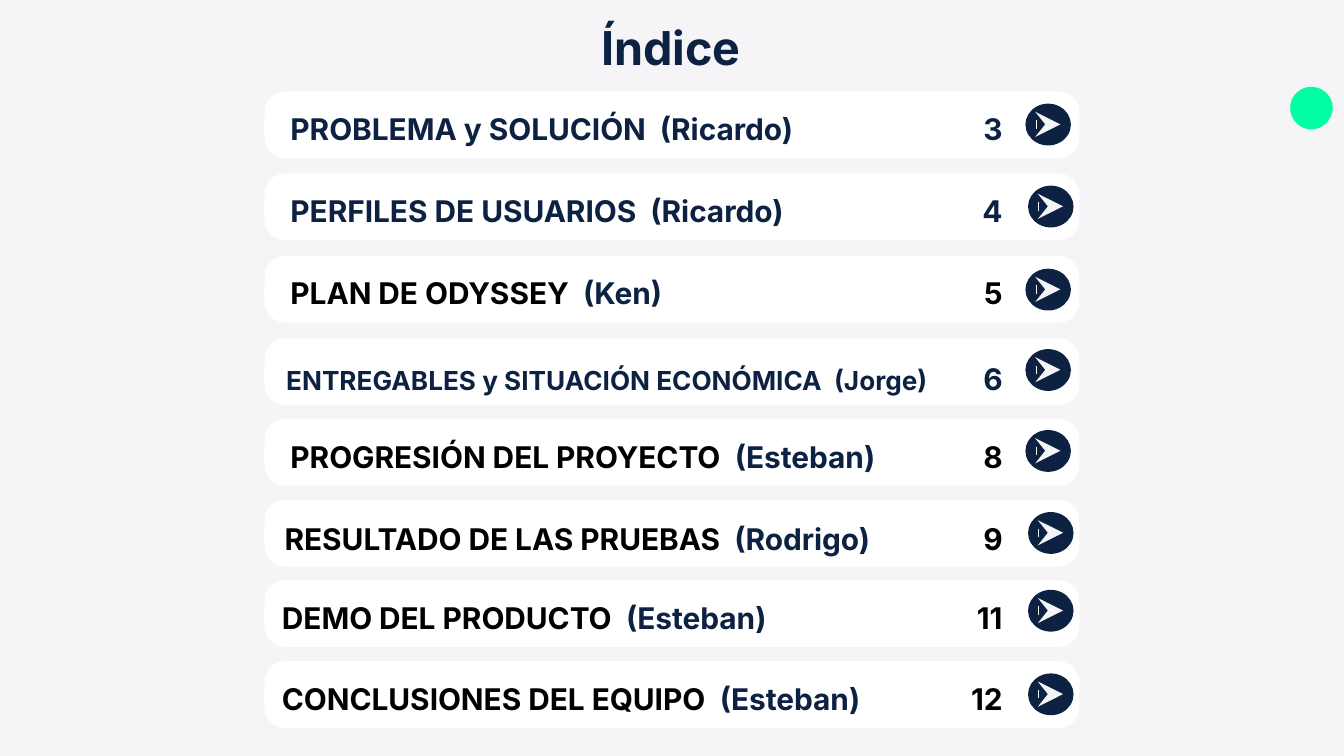
import dataclasses

import lxml.etree
import pptx
import pptx.dml.color
import pptx.enum.shapes
import pptx.enum.text
import pptx.oxml.ns
import pptx.util

Cm = pptx.util.Cm
Pt = pptx.util.Pt
qn = pptx.oxml.ns.qn

COLORS = {
    "back": "F5F5F7",
    "card": "FFFFFF",
    "navy": "0D2243",
    "black": "000000",
    "green": "00FFA3",
}
FRAME = {
    "margin_left": 0,
    "margin_top": 0,
    "margin_right": 0,
    "margin_bottom": 0,
    "word_wrap": True,
    "vertical_anchor": pptx.enum.text.MSO_ANCHOR.TOP,
    "auto_size": pptx.enum.text.MSO_AUTO_SIZE.SHAPE_TO_FIT_TEXT,
}
PAGE_EDGE = 18.95  # right edge of the page numbers
TEXT_END = 19.1


@dataclasses.dataclass
class Entry:
    """One index row; lengths in cm."""
    topic: str
    name: str
    page: str
    color: str
    top: float
    left: float
    text_top: float
    icon_left: float
    icon_top: float
    size: int = 16


ENTRIES = [
    Entry("PROBLEMA y SOLUCIÓN", "Ricardo", "3", "navy", 1.73, 5.49, 1.96, 19.38, 1.96),
    Entry("PERFILES DE USUARIOS", "Ricardo", "4", "navy", 3.28, 5.49, 3.51, 19.43, 3.51),
    Entry("PLAN DE ODYSSEY", "Ken", "5", "black", 4.84, 5.49, 5.05, 19.38, 5.08),
    Entry("ENTREGABLES y SITUACIÓN ECONÓMICA", "Jorge", "6", "navy",
          6.4, 5.41, 6.68, 19.38, 6.6, 14),
    Entry("PROGRESIÓN DEL PROYECTO", "Esteban", "8", "black", 7.92, 5.49, 8.15, 19.38, 8.13),
    Entry("RESULTADO DE LAS PRUEBAS", "Rodrigo", "9", "black", 9.45, 5.38, 9.7, 19.43, 9.68),
    Entry("DEMO DEL PRODUCTO", "Esteban", "11", "black", 10.97, 5.33, 11.2, 19.43, 11.15),
    Entry("CONCLUSIONES DEL EQUIPO", "Esteban", "12", "black", 12.5, 5.33, 12.73, 19.43, 12.73),
]


def rgb(name: str) -> pptx.dml.color.RGBColor:
    return pptx.dml.color.RGBColor.from_string(COLORS[name])


def assign(target, values: dict) -> None:
    for key, value in values.items():
        setattr(target, key, value)


def place(left: float, top: float, width: float, height: float) -> dict:
    return {"left": Cm(left), "top": Cm(top), "width": Cm(width), "height": Cm(height)}


def add_run(para, text: str, size: int, color: str,
            face: str = "Inter", bold: bool = True) -> None:
    run = para.add_run()
    run.text = text
    assign(run.font, {"name": face, "size": Pt(size), "bold": bold})
    run.font.color.rgb = rgb(color)


def setup(shape, spacing: float, align=pptx.enum.text.PP_ALIGN.LEFT):
    """Format the text frame and return its first paragraph."""
    assign(shape.text_frame, FRAME)
    para = shape.text_frame.paragraphs[0]
    assign(para, {"line_spacing": spacing, "alignment": align})
    return para


def add_solid(slide, kind, box: dict, color: str):
    shape = slide.shapes.add_shape(kind, **box)
    shape.shadow.inherit = False
    shape.fill.solid()
    shape.fill.fore_color.rgb = rgb(color)
    shape.line.fill.background()
    return shape


def add_icon(slide, left: float, top: float) -> None:
    """Draw a round button with an arrow to the right."""
    add_solid(slide, pptx.enum.shapes.MSO_SHAPE.OVAL,
              place(left, top, 0.86, 0.79), "navy")
    y = Cm(top + 0.39)
    arrow = slide.shapes.add_connector(
        pptx.enum.shapes.MSO_CONNECTOR.STRAIGHT,
        Cm(left + 0.19), y, Cm(left + 0.66), y)
    arrow.line.color.rgb = rgb("back")
    arrow.line.width = Pt(4.5)
    line = arrow.line._get_or_add_ln()
    lxml.etree.SubElement(line, qn("a:tailEnd"), type="stealth")
    lxml.etree.SubElement(arrow._element.spPr, qn("a:effectLst"))


def add_entry(slide, entry: Entry) -> None:
    card = add_solid(slide, pptx.enum.shapes.MSO_SHAPE.ROUNDED_RECTANGLE,
                     place(5, entry.top, 15.4, 1.26), "card")
    card.adjustments[0] = 0.31
    label = slide.shapes.add_textbox(
        **place(entry.left, entry.text_top, TEXT_END - entry.left, 0.69))
    para = setup(label, 1.2)
    tabs = lxml.etree.SubElement(para._p.get_or_add_pPr(), qn("a:tabLst"))
    lxml.etree.SubElement(tabs, qn("a:tab"), algn="r",
                          pos=str(Cm(PAGE_EDGE - entry.left)))
    add_run(para, f"{entry.topic}  ", entry.size, entry.color)
    add_run(para, f"({entry.name})", entry.size, "navy")
    add_run(para, f"\t{entry.page}", 16, entry.color)
    add_icon(slide, entry.icon_left, entry.icon_top)


def main() -> None:
    deck = pptx.Presentation()
    assign(deck, {"slide_width": Cm(25.4), "slide_height": Cm(14.29)})
    slide = deck.slides.add_slide(deck.slide_layouts[5])
    slide.background.fill.solid()
    slide.background.fill.fore_color.rgb = rgb("back")

    center = pptx.enum.text.PP_ALIGN.CENTER
    title = slide.shapes.title
    assign(title, place(9.14, 0.56, 7.09, 0.86))
    add_run(setup(title, 0.8, center), "Índice", 25, "navy")

    for entry in ENTRIES:
        add_entry(slide, entry)

    dot = slide.shapes.add_textbox(**place(24.28, -1.35, 0.58, 3.58))
    add_run(setup(dot, 1.4, center), "•", 84, "green", "Arial", False)
    deck.save("out.pptx")


if __name__ == "__main__":
    main()
